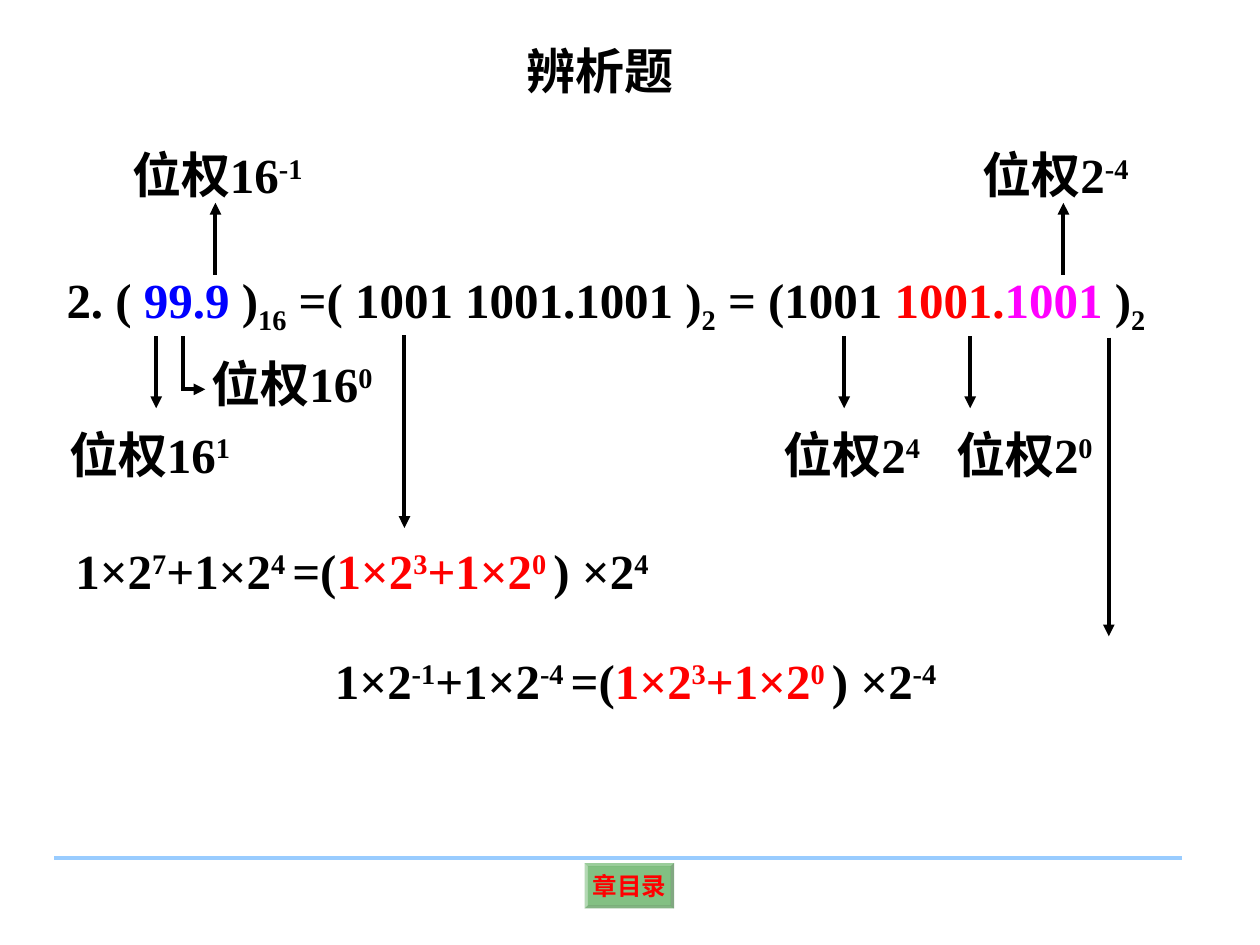
from lxml.etree import SubElement as Sub
from pptx import Presentation
from pptx.dml.color import RGBColor
from pptx.enum.shapes import MSO_CONNECTOR as Link, MSO_SHAPE as Kind
from pptx.enum.text import MSO_ANCHOR as Anchor, MSO_AUTO_SIZE as Fit, PP_ALIGN as Align
from pptx.oxml.ns import qn
from pptx.util import Inches, Pt

BLACK, RED, BLUE, PINK = "000000", "FF0000", "0000FF", "FF00FF"
SKY, GREEN = "99CCFF", "008000"
SUP, SUB = 30, -25


def tint(code):
    return RGBColor.from_string(code)


class Board:
    """Slide on a grid of 100 columns by 75 rows, with one text and line style."""

    face, size, width = "Times New Roman", 28, 2.25

    def __init__(self, deck):
        self.slide = deck.slides.add_slide(deck.slide_layouts[5])
        self.col = deck.slide_width / 100
        self.row = deck.slide_height / 75

    def span(self, x, y, w, h):
        return [round(n) for n in (x * self.col, y * self.row, w * self.col, h * self.row)]

    def style(self, run, color=BLACK, base=0, size=None):
        font = run.font
        font.name, font.size, font.bold = self.face, Pt(size or self.size), True
        font.color.rgb = tint(color)
        if base:
            run._r.get_or_add_rPr().set("baseline", str(base * 1000))

    def title(self, text, *area):
        head = self.slide.shapes.title
        head.left, head.top, head.width, head.height = self.span(*area)
        frame = head.text_frame
        frame.text = text
        frame.auto_size, frame.vertical_anchor = Fit.SHAPE_TO_FIT_TEXT, Anchor.TOP
        frame.paragraphs[0].alignment = Align.LEFT
        self.style(frame.paragraphs[0].runs[0])

    def text(self, parts, x, y, w, h=5.7):
        frame = self.slide.shapes.add_textbox(*self.span(x, y, w, h)).text_frame
        frame.word_wrap, frame.auto_size = True, Fit.SHAPE_TO_FIT_TEXT
        for words, *look in parts:
            run = frame.paragraphs[0].add_run()
            run.text = words
            self.style(run, *look)

    def weight(self, root, power, x, y):
        self.text([("位权" + root,), (power, BLACK, SUP)], x, y, 16.9)

    def line(self, x1, y1, x2, y2, color=BLACK, arrow=True):
        ends = self.span(x1, y1, x2, y2)
        link = self.slide.shapes.add_connector(Link.STRAIGHT, *ends)
        link.line.color.rgb, link.line.width = tint(color), Pt(self.width)
        if arrow:
            Sub(link.line._get_or_add_ln(), qn("a:tailEnd"), type="triangle")
        Sub(link._element.spPr, qn("a:effectLst"))

    def button(self, text, *area):
        key = self.slide.shapes.add_shape(Kind.BEVEL, *self.span(*area))
        key.shadow.inherit = False
        key.adjustments[0] = 0.07
        key.fill.solid()
        key.fill.fore_color.rgb = tint(GREEN)
        shade = key._element.spPr.find(qn("a:solidFill"))[0]
        Sub(shade, qn("a:alpha"), val="49000")
        key.line.fill.background()
        frame = key.text_frame
        frame.text = text
        frame.word_wrap, frame.vertical_anchor = False, Anchor.MIDDLE
        frame.margin_left = frame.margin_right = Inches(0.04)
        frame.margin_top = frame.margin_bottom = Inches(0.04)
        frame.paragraphs[0].alignment = Align.CENTER
        self.style(frame.paragraphs[0].runs[0], RED, size=14)


def expand(first, second, shift):
    """Return the runs of a sum of powers with its common factor taken out."""
    return [("1×2",), (first, BLACK, SUP), ("+1×2",), (second + " ", BLACK, SUP),
            ("=(",), ("1×2", RED), ("3", RED, SUP), ("+1×2", RED), ("0 ", RED, SUP),
            (") ×2",), (shift, BLACK, SUP)]


def main():
    deck = Presentation()
    deck.slide_width, deck.slide_height = Inches(10), Inches(7.5)
    board = Board(deck)
    board.button("章目录", 46.4, 68.5, 7.1, 3.6)
    board.line(4.3, 68.1, 93.8, 68.1, SKY, False)
    board.title("辨析题", 40.8, 2.7, 16.3, 5.7)
    board.text([("2. ( ",), ("99.9 ", BLUE), (")",), ("16", BLACK, SUB),
                (" =( 1001 1001.1001 )",), ("2", BLACK, SUB), (" = (1001 ",),
                ("1001.", RED), ("1001 ", PINK), (")",), ("2", BLACK, SUB)],
               4.3, 20.9, 92.7, 6.3)

    for root, power, x, y in (("2", "4", 61.2, 33.2), ("2", "0", 74.9, 33.2),
                              ("16", "1", 4.5, 33.2), ("16", "0", 15.8, 27.6),
                              ("2", "-4", 77, 11), ("16", "-1", 9.5, 11)):
        board.weight(root, power, x, y)

    for x in (12.4, 67, 77):
        board.line(x, 26.7, x, 32.4)
    for x in (17.1, 84.4):
        board.line(x, 21.8, x, 16.1)
    for x, top, end in ((32.1, 26.6, 41.9), (88, 26.8, 50.5)):
        board.line(x, top, x, end)
    board.line(14.5, 26.7, 14.5, 30.8, arrow=False)
    board.line(14.4, 30.9, 16.3, 30.9)

    board.text(expand("7", "4", "4"), 5, 42.4, 64.5)
    board.text(expand("-1", "-4", "-4"), 25.6, 51.1, 64.5)
    deck.save("out.pptx")


if __name__ == "__main__":
    main()
